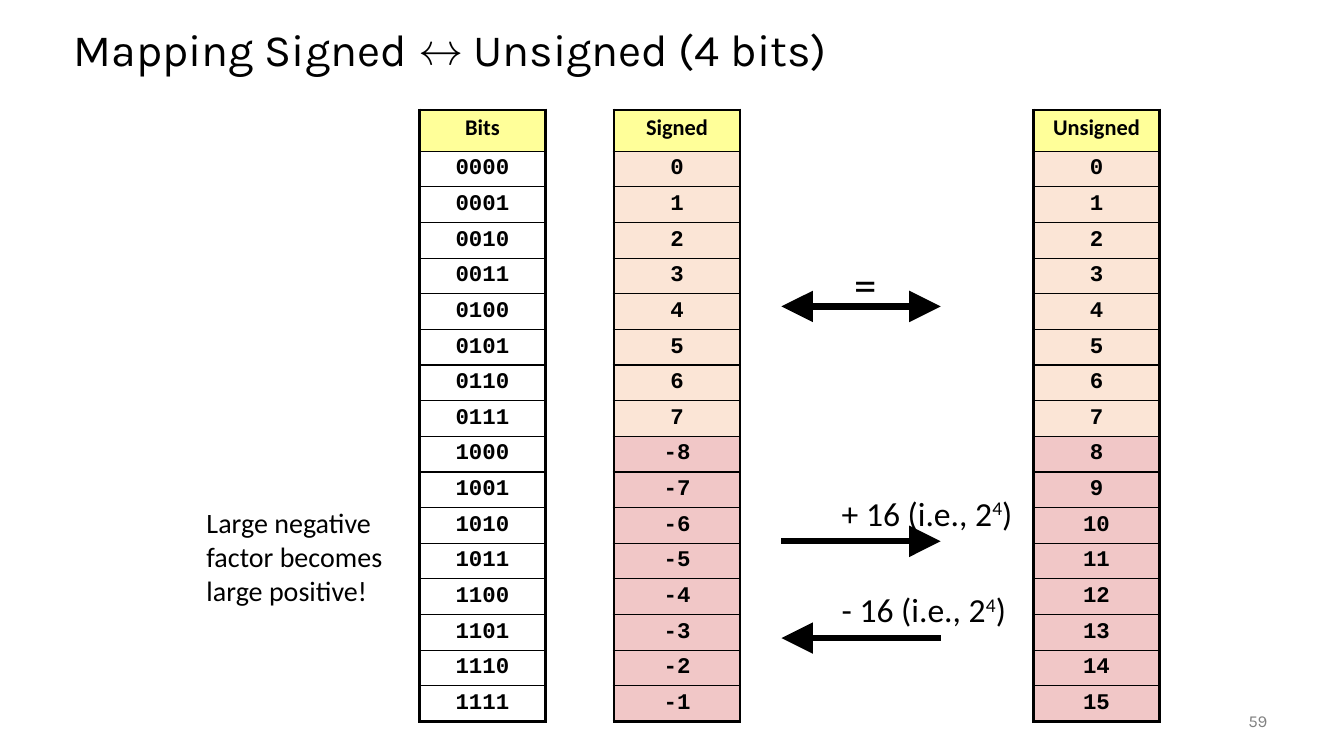
import lxml.etree
import pptx
import pptx.dml.color
import pptx.enum.shapes
import pptx.enum.text
import pptx.oxml.ns
import pptx.util

Inches = pptx.util.Inches
Pt = pptx.util.Pt
ALIGN = pptx.enum.text.PP_ALIGN
ANCHOR = pptx.enum.text.MSO_ANCHOR
COLORS = {
    "black": "000000",
    "gray": "808080",
    "yellow": "FFFF99",
    "peach": "FBE5D6",
    "pink": "F1C7C7",
}
TOP, WIDTH, HEIGHT, HEAD = 1.09, 1.25, 6.07, 0.41
THICK, THIN = 2.25, 1


def rgb(name):
    return pptx.dml.color.RGBColor.from_string(COLORS[name])


def child(parent, tag, **attrs):
    return lxml.etree.SubElement(parent, pptx.oxml.ns.qn(tag), attrs)


def write(frame, text, size=16, font="Calibri", color="black", bold=False,
          align=ALIGN.LEFT, spacing=None):
    """Fill a frame; ^ marks raised parts and \\v a line break."""
    for i, line in enumerate(text.split("\n")):
        para = frame.add_paragraph() if i else frame.paragraphs[0]
        para.alignment = align
        para.line_spacing = spacing
        for j, part in enumerate(line.split("^")):
            for k, piece in enumerate(part.split("\v")):
                if k:
                    para.add_line_break()
                run = para.add_run()
                run.text = piece
                run.font.size = Pt(size)
                run.font.name = font
                run.font.bold = bold
                run.font.color.rgb = rgb(color)
                if j % 2:
                    run._r.get_or_add_rPr().set("baseline", "30000")


def label(slide, text, box, inset=(0.1, 0.05), wrap=False, anchor=ANCHOR.TOP,
          **style):
    frame = slide.shapes.add_textbox(*map(Inches, box)).text_frame
    frame.word_wrap = wrap
    frame.vertical_anchor = anchor
    frame.margin_left = frame.margin_right = Inches(inset[0])
    frame.margin_top = frame.margin_bottom = Inches(inset[1])
    write(frame, text, **style)


def border(cell, first, last):
    props = cell._tc.get_or_add_tcPr()
    widths = {
        "L": THICK,
        "R": THICK,
        "T": THICK if first else THIN,
        "B": THICK if last else THIN,
    }
    for side, width in widths.items():
        line = child(props, "a:ln" + side, w=str(Pt(width)))
        child(child(line, "a:solidFill"), "a:srgbClr", val=COLORS["black"])


def column(slide, left, title, values, fills):
    """Draw a one-column table; fills gives the colours of its two halves."""
    count = len(values)
    table = slide.shapes.add_table(
        count + 1, 1, Inches(left), Inches(TOP), Inches(WIDTH), Inches(HEIGHT)
    ).table
    table.first_row = table.horz_banding = False
    for i, text in enumerate([title, *values]):
        table.rows[i].height = Inches((HEIGHT - HEAD) / count if i else HEAD)
        cell = table.cell(i, 0)
        cell.margin_left = cell.margin_right = Inches(0.05)
        cell.margin_top = cell.margin_bottom = Inches(0.05)
        border(cell, i == 0, i == count)
        fill = fills[(i - 1) * 2 // count] if i else "yellow"
        if fill:
            cell.fill.solid()
            cell.fill.fore_color.rgb = rgb(fill)
        else:
            cell.fill.background()
        write(cell.text_frame, str(text), bold=True, align=ALIGN.CENTER,
              font="Courier New" if i else "Calibri", spacing=0.95)


def arrow(slide, y, *ends):
    """Draw a line from right to left; headEnd is its right end."""
    line = slide.shapes.add_connector(
        pptx.enum.shapes.MSO_CONNECTOR.STRAIGHT,
        Inches(9.33), Inches(y), Inches(7.75), Inches(y))
    line.line.width = Pt(4.5)
    line.line.color.rgb = rgb("black")
    for end in ends:
        child(line.line._get_or_add_ln(), "a:" + end, type="triangle",
              w="lg", len="lg")
    child(line._element.spPr, "a:effectLst")


def main():
    deck = pptx.Presentation()
    deck.slide_width, deck.slide_height = Inches(13.33), Inches(7.5)
    slide = deck.slides.add_slide(deck.slide_layouts[6])

    label(slide, "Mapping Signed ↔ Unsigned (4 bits)", (0.66, 0.25, 12, 0.75),
          inset=(0.07, 0.03), wrap=True, size=32, font="Karla", spacing=0.9)

    halves = ("peach", "pink")
    column(slide, 6.09, "Signed", [*range(8), *range(-8, 0)], halves)
    column(slide, 10.25, "Unsigned", range(16), halves)
    column(slide, 4.16, "Bits", [f"{n:04b}" for n in range(16)], (None, None))

    arrow(slide, 3.04, "headEnd", "tailEnd")
    label(slide, "=", (8.42, 2.5, 0.32, 0.64), inset=(0.05, 0.05), size=32,
          align=ALIGN.CENTER)
    for y, sign, end in ((5.37, "+", "headEnd"), (6.33, "-", "tailEnd")):
        arrow(slide, y, end)
        label(slide, f"{sign} 16 (i.e., 2^4^)", (8.25, y - 0.54, 2, 0.51),
              wrap=True, anchor=ANCHOR.MIDDLE, size=24)

    label(slide, "Large negative\vfactor becomes\nlarge positive!",
          (1.95, 4.97, 1.96, 1.11), size=20)
    label(slide, "59", (11.67, 6.95, 1, 0.4), wrap=True, anchor=ANCHOR.MIDDLE,
          size=12, font="Karla", color="gray", align=ALIGN.RIGHT)
    deck.save("out.pptx")


if __name__ == "__main__":
    main()
